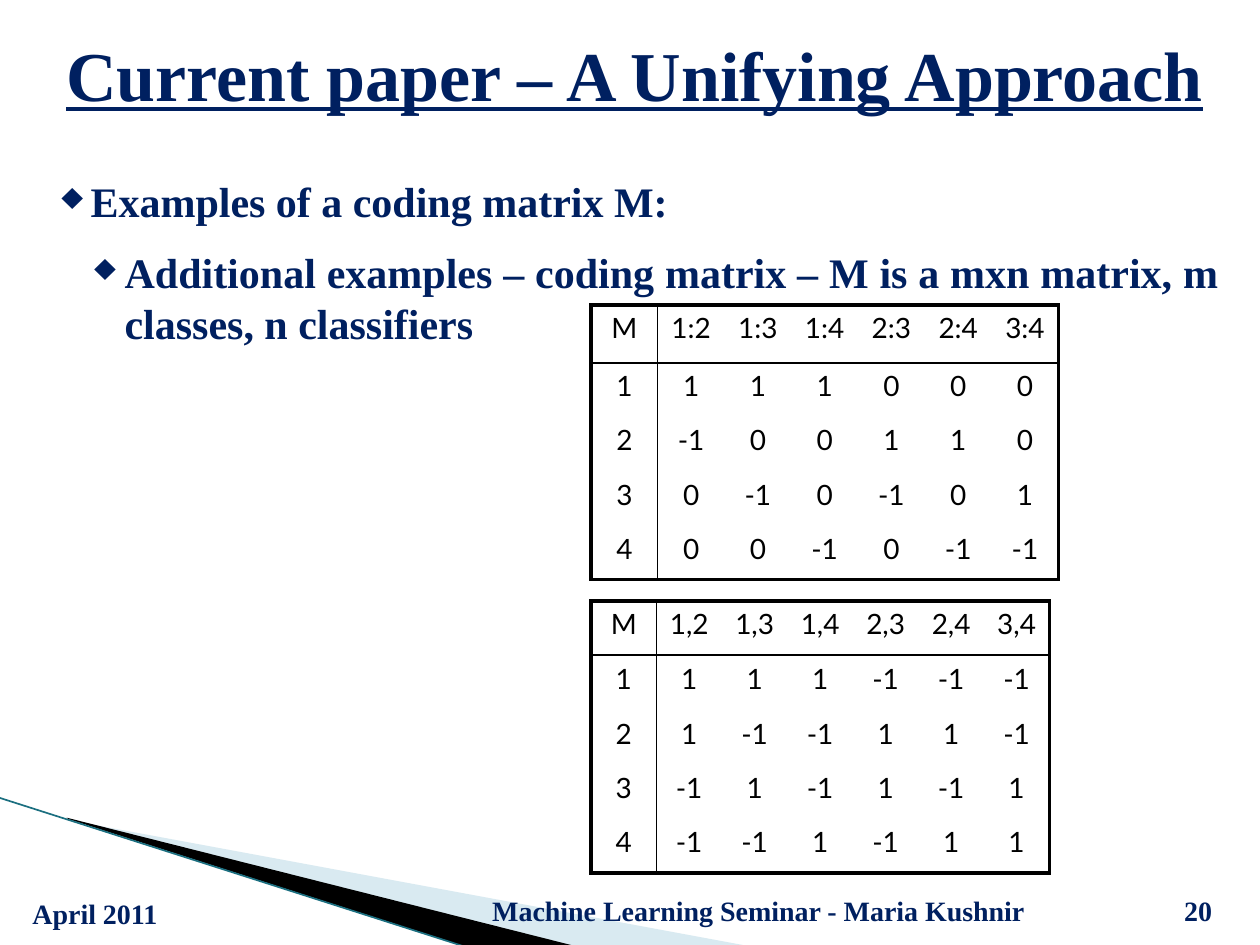
from dataclasses import dataclass

from lxml.etree import SubElement
from pptx import Presentation
from pptx.dml.color import RGBColor
from pptx.enum.text import MSO_ANCHOR, PP_ALIGN
from pptx.oxml.ns import qn
from pptx.util import Inches, Pt


@dataclass(frozen=True)
class Theme:
    navy: str = "002060"
    black: str = "000000"
    pale_blue: str = "A0CBDC"
    teal: str = "1B6F80"
    text_font: str = "Times New Roman"
    table_font: str = "Lato"
    title_size: int = 40
    body_size: int = 24
    small_size: int = 16
    thick: float = 2.25
    thin: float = 1


theme = Theme()


def style_font(font, name, size, color, bold=False):
    font.name = name
    font.size = Pt(size)
    font.bold = bold
    font.color.rgb = RGBColor.from_string(color)


def add_text(left, top, width, height, text, size, align, anchor):
    box = page.shapes.add_textbox(Inches(left), Inches(top), Inches(width), Inches(height))
    frame = box.text_frame
    frame.word_wrap = True
    frame.vertical_anchor = anchor
    frame.text = text
    for para in frame.paragraphs:
        para.alignment = align
        style_font(para.font, theme.text_font, size, theme.navy, bold=True)
    return frame


deck = Presentation()
deck.slide_width, deck.slide_height = Inches(10), Inches(7.5)
page = deck.slides.add_slide(deck.slide_layouts[6])

# Corner decoration: two wedges and a line
wedges = [
    ([(0.55, 6.51), (5.95, 7.51), (4.56, 7.51), (0.55, 6.5)], theme.pale_blue, 40),
    ([(0.53, 6.49), (4.57, 7.51), (3.72, 7.52), (0.54, 6.5)], theme.black, 100),
]
for corners, color, opacity in wedges:
    points = [(Inches(x), Inches(y)) for x, y in corners]
    builder = page.shapes.build_freeform(*points[0])
    builder.add_line_segments(points[1:], close=True)
    wedge = builder.convert_to_shape()
    wedge.shadow.inherit = False
    wedge.line.fill.background()
    wedge.fill.solid()
    wedge.fill.fore_color.rgb = RGBColor.from_string(color)
    if opacity < 100:
        color_node = wedge.fill._xPr.find(".//" + qn("a:srgbClr"))
        SubElement(color_node, qn("a:alpha"), val=str(opacity * 1000))

edge = page.shapes.add_connector(1, Inches(-0.01), Inches(6.33), Inches(3.71), Inches(7.52))
edge.line.color.rgb = RGBColor.from_string(theme.teal)
edge.line.width = Pt(0.95)
SubElement(edge._element.spPr, qn("a:effectLst"))

# Footer
footer = [
    (0.16, 7.03, 2.1, "April 2011", PP_ALIGN.LEFT),
    (3.52, 7.01, 5, "Machine Learning Seminar - Maria Kushnir", PP_ALIGN.CENTER),
    (9.3, 7.01, 0.56, "20", PP_ALIGN.LEFT),
]
for left, top, width, text, align in footer:
    add_text(left, top, width, 0.4, text, theme.small_size, align, MSO_ANCHOR.BOTTOM)

# Title
title = add_text(-0.16, 0.07, 10.39, 1.03, "Current paper – A Unifying Approach",
                 theme.title_size, PP_ALIGN.CENTER, MSO_ANCHOR.MIDDLE)
title.paragraphs[0].font.underline = True

# Bulleted text
bullets = [
    ("Examples of a coding matrix M:", 0, 0.23, 0.23),
    ("Additional examples – coding matrix – M is a mxn matrix, m classes, n classifiers",
     1, 0.5, 0.24),
]
body = add_text(0.39, 1.29, 9.38, 1.48, "", theme.body_size, PP_ALIGN.JUSTIFY, MSO_ANCHOR.TOP)
body.margin_top = Inches(0.1)
for index, (text, level, margin, hanging) in enumerate(bullets):
    para = body.add_paragraph() if index else body.paragraphs[0]
    para.text = text
    para.level = level
    para.alignment = PP_ALIGN.JUSTIFY
    properties = para._p.get_or_add_pPr()
    properties.set("marL", str(Inches(margin)))
    properties.set("indent", str(-Inches(hanging)))
    for node in properties.findall(qn("a:defRPr")):
        properties.remove(node)
    bullet_color = SubElement(properties, qn("a:buClr"))
    SubElement(bullet_color, qn("a:srgbClr"), val=theme.navy)
    SubElement(properties, qn("a:buSzPct"), val="90000")
    SubElement(properties, qn("a:buChar"), char="♦")
    para.space_before = Pt(6 if index else 0)
    para.space_after = Pt(6)
    style_font(para.font, theme.text_font, theme.body_size, theme.navy, bold=True)

# Coding matrices: left, top, column width, row heights, rows
matrices = [
    (4.69, 2.42, 0.53, [0.46, 0.43, 0.43, 0.43, 0.43], [
        "M 1:2 1:3 1:4 2:3 2:4 3:4",
        "1 1 1 1 0 0 0",
        "2 -1 0 0 1 1 0",
        "3 0 -1 0 -1 0 1",
        "4 0 0 -1 0 -1 -1",
    ]),
    (4.69, 4.77, 0.52, [0.43, 0.44, 0.43, 0.43, 0.43], [
        "M 1,2 1,3 1,4 2,3 2,4 3,4",
        "1 1 1 1 -1 -1 -1",
        "2 1 -1 -1 1 1 -1",
        "3 -1 1 -1 1 -1 1",
        "4 -1 -1 1 -1 1 1",
    ]),
]
for left, top, column_width, heights, lines in matrices:
    rows = [line.split() for line in lines]
    last_row, last_column = len(rows) - 1, len(rows[0]) - 1
    table = page.shapes.add_table(
        len(rows), len(rows[0]), Inches(left), Inches(top),
        Inches(column_width * len(rows[0])), Inches(sum(heights))).table
    table.first_row = table.horz_banding = False
    for column in table.columns:
        column.width = Inches(column_width)
    for r, values in enumerate(rows):
        table.rows[r].height = Inches(heights[r])
        for c, value in enumerate(values):
            cell = table.cell(r, c)
            cell.text = value
            para = cell.text_frame.paragraphs[0]
            para.alignment = PP_ALIGN.CENTER
            style_font(para.font, theme.table_font, theme.small_size, theme.black)
            # Thick outer frame, thin rules beside the first column and under the header
            borders = {
                "a:lnL": {0: theme.thick, 1: theme.thin}.get(c),
                "a:lnR": {0: theme.thin, last_column: theme.thick}.get(c),
                "a:lnT": {0: theme.thick, 1: theme.thin}.get(r),
                "a:lnB": {0: theme.thin, last_row: theme.thick}.get(r),
            }
            cell_properties = cell._tc.get_or_add_tcPr()
            for tag, weight in borders.items():
                border = SubElement(cell_properties, qn(tag), w=str(Pt(weight or 0)))
                if weight:
                    paint = SubElement(border, qn("a:solidFill"))
                    SubElement(paint, qn("a:srgbClr"), val=theme.black)
                else:
                    SubElement(border, qn("a:noFill"))
            cell.fill.background()

deck.save("out.pptx")
